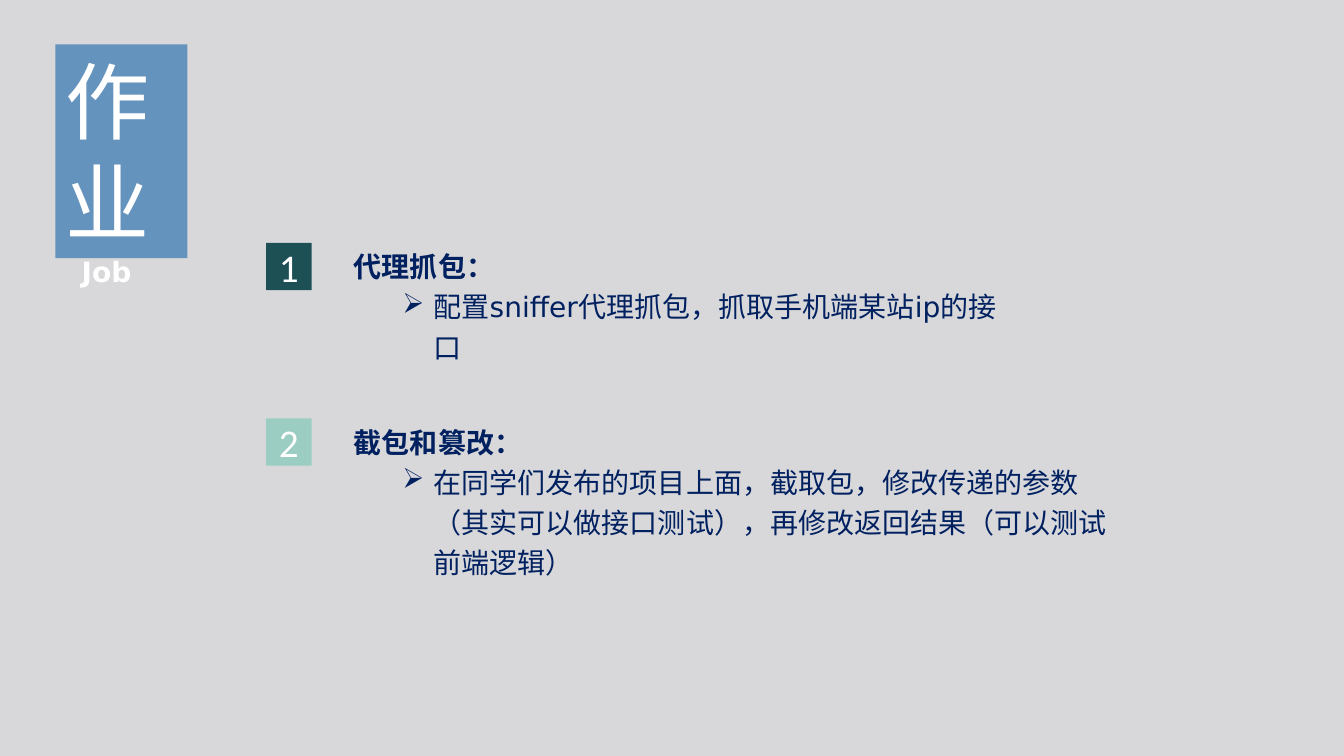
from dataclasses import dataclass

from lxml import etree
from pptx import Presentation
from pptx.dml.color import RGBColor
from pptx.enum.shapes import MSO_SHAPE
from pptx.enum.text import MSO_ANCHOR, PP_ALIGN
from pptx.oxml.ns import qn
from pptx.util import Inches, Pt

RECTANGLE = MSO_SHAPE.RECTANGLE
TOP, MIDDLE = MSO_ANCHOR.TOP, MSO_ANCHOR.MIDDLE
LEFT, CENTER = PP_ALIGN.LEFT, PP_ALIGN.CENTER


@dataclass(frozen=True)
class Theme:
    """Colours, fonts and type sizes of the slide."""

    background: str = "D8D8DA"
    banner: str = "3477B2"
    first: str = "1D5055"
    second: str = "9CCDC2"
    light: str = "FFFFFF"
    ink: str = "002060"
    han_font: str = "Noto Sans CJK SC"
    body_font: str = "DejaVu Sans"
    number_font: str = "Calibri"
    title_size: int = 60
    number_size: int = 28
    body_size: int = 20


class HomeworkSlide:
    """Draws the elements of the homework slide in one style."""

    def __init__(self, slide, theme):
        self.slide = slide
        self.theme = theme
        fill = slide.background.fill
        fill.solid()
        fill.fore_color.rgb = RGBColor.from_string(theme.background)

    def add_words(self, paragraph, text, font, size, color, bold=False):
        """Add one run of formatted text to a paragraph."""
        run = paragraph.add_run()
        run.text = text
        formats = {"name": font, "size": Pt(size), "bold": bold}
        for key, value in formats.items():
            setattr(run.font, key, value)
        run.font.color.rgb = RGBColor.from_string(color)
        east_asian = etree.Element(qn("a:ea"), typeface=self.theme.han_font)
        run.font._element.find(qn("a:latin")).addnext(east_asian)

    def block(self, place, color, text, font, size, align=LEFT, anchor=TOP, opacity=100):
        """Add a filled rectangle with light text."""
        block = self.slide.shapes.add_shape(RECTANGLE, *map(Inches, place))
        block.shadow.inherit = False
        block.line.fill.background()
        block.fill.solid()
        block.fill.fore_color.rgb = RGBColor.from_string(color)
        if opacity < 100:
            tint = block.fill._xPr.find(qn("a:solidFill"))[0]
            etree.SubElement(tint, qn("a:alpha"), val=str(opacity * 1000))
        frame = block.text_frame
        frame.word_wrap = True
        frame.vertical_anchor = anchor
        paragraph = frame.paragraphs[0]
        paragraph.alignment = align
        self.add_words(paragraph, text, font, size, self.theme.light)

    def text_frame(self, place, **margins):
        """Add a wrapping text box and return its frame."""
        frame = self.slide.shapes.add_textbox(*map(Inches, place)).text_frame
        frame.word_wrap = True
        for side, margin in margins.items():
            setattr(frame, f"margin_{side}", Inches(margin))
        return frame

    def subtitle(self, place, text, indent):
        """Add the bold line below the banner."""
        theme = self.theme
        frame = self.text_frame(place, left=indent)
        self.add_words(frame.paragraphs[0], text, theme.body_font, theme.body_size,
                       theme.light, True)

    def task(self, number, top, color, width, height, heading, detail):
        """Add a numbered task with its heading and bulleted detail."""
        theme = self.theme
        self.block((2.64, top, 0.45, 0.47), color, str(number), theme.number_font,
                   theme.number_size, CENTER, MIDDLE)
        frame = self.text_frame((3.51, top, width, height), left=0, top=0, right=0, bottom=0)
        lines = (frame.paragraphs[0], frame.add_paragraph())
        for line, text, bold in zip(lines, (heading, detail), (True, False)):
            line.line_spacing = 1.2
            self.add_words(line, text, theme.body_font, theme.body_size, theme.ink, bold)
        properties = lines[1]._p.get_or_add_pPr()
        for key, value in {"marL": 0.79, "indent": -0.31}.items():
            properties.set(key, str(Inches(value)))
        etree.SubElement(properties, qn("a:buChar"), char="➢")


def main():
    """Build and save the slide."""
    deck = Presentation()
    deck.slide_width, deck.slide_height = Inches(13.33), Inches(7.5)
    theme = Theme()
    homework = HomeworkSlide(deck.slides.add_slide(deck.slide_layouts[6]), theme)
    homework.block((0.55, 0.44, 1.31, 2.12), theme.banner, "作业", theme.han_font,
                   theme.title_size, opacity=70)
    homework.subtitle((0.45, 2.48, 1.82, 0.44), "Job", indent=0.36)
    tasks = (
        (2.41, theme.first, 6.61, 1.32, "代理抓包：",
         "配置sniffer代理抓包，抓取手机端某站ip的接口"),
        (4.15, theme.second, 7.65, 1.86, "截包和篡改：",
         "在同学们发布的项目上面，截取包，修改传递的参数（其实可以做接口测试），"
         "再修改返回结果（可以测试前端逻辑）"),
    )
    for number, task in enumerate(tasks, 1):
        homework.task(number, *task)
    deck.save("out.pptx")


if __name__ == "__main__":
    main()
